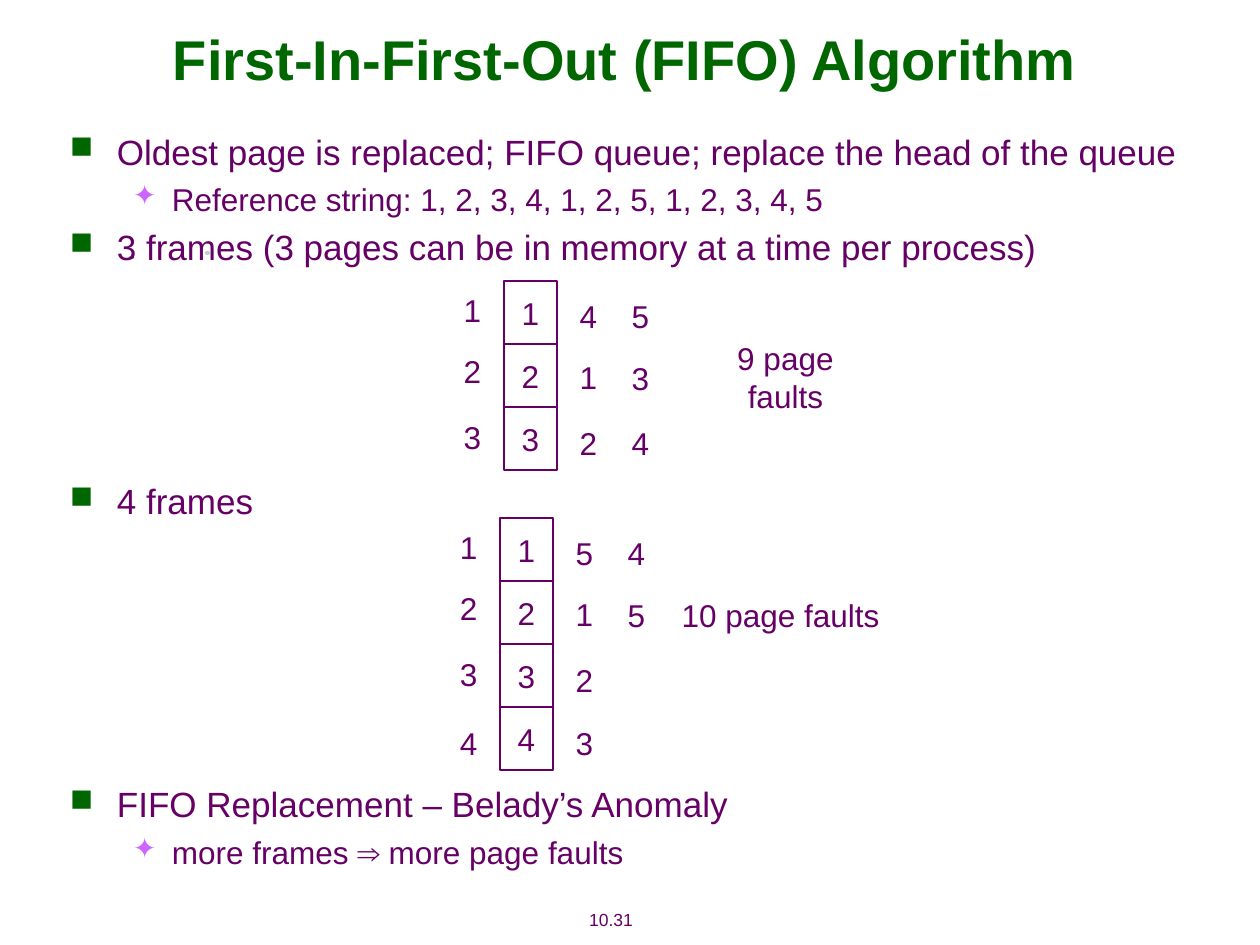
from lxml.etree import SubElement
from pptx import Presentation
from pptx.dml.color import RGBColor
from pptx.enum.shapes import MSO_SHAPE
from pptx.enum.text import MSO_ANCHOR, PP_ALIGN
from pptx.oxml.ns import qn
from pptx.util import Pt

PX = 914400 // 126
FONT = "Arial"
GREEN = RGBColor(0x00, 0x66, 0x00)
PURPLE = RGBColor(0x66, 0x00, 0x66)
LILAC = RGBColor(0xCC, 0x66, 0xFF)
NAVY = RGBColor(0x28, 0x4C, 0x70)
MIST = RGBColor(0xBF, 0xCC, 0xD8)
WHITE = RGBColor(0xFF, 0xFF, 0xFF)

TITLE = "First-In-First-Out (FIFO) Algorithm"
PAGE_NUMBER = "10.31"

# (level, space before in px, text)
BULLETS = [
    (0, 0, "Oldest page is replaced; FIFO queue; replace the head of the queue"),
    (1, 9, "Reference string: 1, 2, 3, 4, 1, 2, 5, 1, 2, 3, 4, 5"),
    (0, 8, "3 frames (3 pages can be in memory at a time per process)"),
    (0, 212, "4 frames"),
    (0, 261, "FIFO Replacement – Belady’s Anomaly"),
    (1, 9, "more frames ⇒ more page faults"),
]
LEVELS = [
    {"char": "■", "color": GREEN, "size": 20, "line": 24, "margin": 47, "hanging": 47},
    {"char": "✦", "color": LILAC, "size": 18, "line": 21, "margin": 102, "hanging": 39},
]

CELL_WIDTH, CELL_HEIGHT = 53, 63
LABEL_WIDTH, LABEL_HEIGHT = 43, 50
LABEL_COLUMNS = {
    "index": (-53, (4, 65, 131, 200)),
    "first": (63, (10, 71, 137, 200)),
    "second": (115, (10, 72)) ,
}
LABEL_COLUMNS["second"] = (115, (10, 72, 137))
FRAME_TABLES = [
    {"left": 504, "top": 281, "index": "123", "first": "412", "second": "534",
     "faults": ("9 page faults", 683, 352, 205)},
    {"left": 500, "top": 518, "index": "1234", "first": "5123", "second": "45",
     "faults": ("10 page faults", 669, 590, 223)},
]
SPECKS = [(129, 256, 5, 3, NAVY), (129, 256, 4, 3, MIST), (205, 251, 5, 4, MIST)]


def add_run(paragraph, text, size, color=PURPLE, bold=False):
    """Append one styled run to a paragraph."""
    run = paragraph.add_run()
    run.text = text
    run.font.name = FONT
    run.font.size = Pt(size)
    run.font.bold = bold
    run.font.color.rgb = color


def add_label(slide, text, left, top, width, height, size=18, **style):
    """Add a centred one-line text box."""
    box = slide.shapes.add_textbox(left * PX, top * PX, width * PX, height * PX)
    frame = box.text_frame
    frame.word_wrap = False
    frame.vertical_anchor = MSO_ANCHOR.MIDDLE
    frame.paragraphs[0].alignment = PP_ALIGN.CENTER
    add_run(frame.paragraphs[0], text, size, **style)


def add_shape(slide, kind, left, top, width, height, fill, line=None):
    """Add a flat preset shape."""
    shape = slide.shapes.add_shape(kind, left * PX, top * PX, width * PX, height * PX)
    shape.shadow.inherit = False
    shape.fill.solid()
    shape.fill.fore_color.rgb = fill
    if line is None:
        shape.line.fill.background()
    else:
        shape.line.color.rgb = line
        shape.line.width = Pt(0.75)
    return shape


def set_bullet(paragraph, level):
    """Give a paragraph its bullet and hanging indent."""
    properties = paragraph._p.get_or_add_pPr()
    properties.set("marL", str(level["margin"] * PX))
    properties.set("indent", str(-level["hanging"] * PX))
    color = SubElement(properties, qn("a:buClr"))
    SubElement(color, qn("a:srgbClr"), val=str(level["color"]))
    SubElement(properties, qn("a:buSzPct"), val="90000")
    SubElement(properties, qn("a:buChar"), char=level["char"])


def add_bullets(slide):
    """Add the bulleted body, leaving room for the frame tables."""
    frame = slide.shapes.add_textbox(70 * PX, 130 * PX, 1139 * PX, 750 * PX).text_frame
    frame.word_wrap = True
    frame.margin_left = frame.margin_right = frame.margin_top = frame.margin_bottom = 0
    for number, (depth, gap, text) in enumerate(BULLETS):
        paragraph = frame.add_paragraph() if number else frame.paragraphs[0]
        level = LEVELS[depth]
        paragraph.level = depth
        set_bullet(paragraph, level)
        paragraph.line_spacing = Pt(level["line"])
        paragraph.space_before = gap * PX
        add_run(paragraph, text, level["size"])


def add_frame_table(slide, table):
    """Add a stack of frames with its index and replacement columns."""
    left, top = table["left"], table["top"]
    for row, page in enumerate(table["index"]):
        cell = add_shape(slide, MSO_SHAPE.RECTANGLE, left, top + row * CELL_HEIGHT,
                         CELL_WIDTH, CELL_HEIGHT, WHITE, PURPLE)
        cell.text_frame.word_wrap = False
        cell.text_frame.vertical_anchor = MSO_ANCHOR.MIDDLE
        paragraph = cell.text_frame.paragraphs[0]
        paragraph.alignment = PP_ALIGN.CENTER
        add_run(paragraph, page, 18)
    for name, (shift, offsets) in LABEL_COLUMNS.items():
        for page, offset in zip(table[name], offsets):
            add_label(slide, page, left + shift, top + offset, LABEL_WIDTH, LABEL_HEIGHT)
    text, faults_left, faults_top, width = table["faults"]
    add_label(slide, text, faults_left, faults_top, width, LABEL_HEIGHT)


def main():
    """Build the slide and save it."""
    presentation = Presentation()
    presentation.slide_width, presentation.slide_height = 1260 * PX, 945 * PX
    slide = presentation.slides.add_slide(presentation.slide_layouts[6])
    for left, top, width, height, color in SPECKS:
        add_shape(slide, MSO_SHAPE.OVAL, left, top, width, height, color)
    add_label(slide, PAGE_NUMBER, 547, 902, 128, 34, size=10)
    add_label(slide, TITLE, 90, 0, 1070, 116, size=32, color=GREEN, bold=True)
    add_bullets(slide)
    for table in FRAME_TABLES:
        add_frame_table(slide, table)
    presentation.save("out.pptx")


if __name__ == "__main__":
    main()
